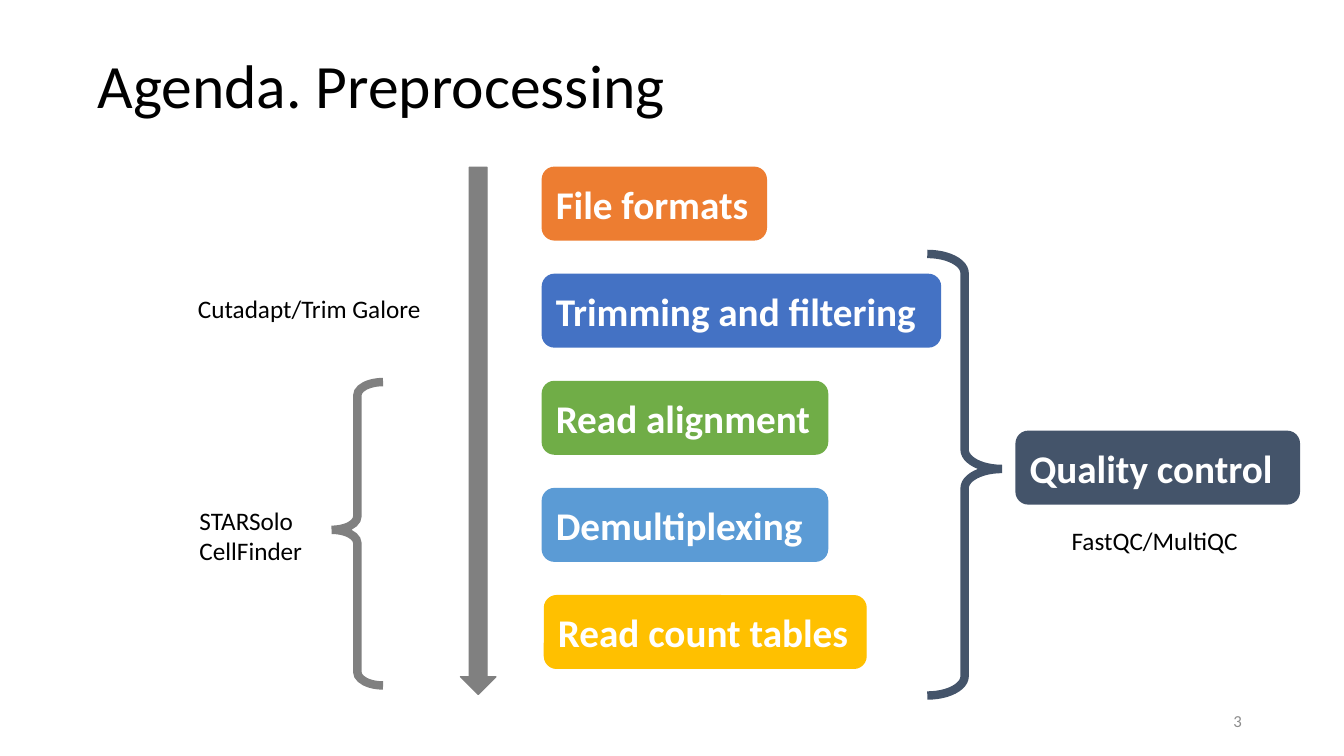
import lxml.etree
import pptx
import pptx.util
import pptx.dml.color
import pptx.enum.shapes
import pptx.enum.text
import pptx.oxml.ns

Pt = pptx.util.Pt
SHAPE = pptx.enum.shapes.MSO_SHAPE
ALIGN = pptx.enum.text.PP_ALIGN
ANCHOR = pptx.enum.text.MSO_ANCHOR

COLOURS = {
    "black": "000000", "white": "FFFFFF", "grey": "808080", "pale": "8C8C8C",
    "orange": "ED7D31", "blue": "4472C4", "green": "70AD47",
    "sky": "5B9BD5", "gold": "FFC000", "slate": "44546A",
}
CARD_HEIGHT = 51.84
STEP_PITCH = 76.5
# label, colour, width, shift to the right
STEPS = [
    ("File formats", "orange", 160, 0),
    ("Trimming and filtering", "blue", 284.4, 0),
    ("Read alignment", "green", 203.76, 0),
    ("Demultiplexing", "sky", 203.76, 0),
    ("Read count tables", "gold", 229.7, 1.5),
]


def colour(name):
    return pptx.dml.color.RGBColor.from_string(COLOURS[name])


def write(shape, lines, size, ink="black", align=ALIGN.LEFT, anchor=ANCHOR.TOP,
          wrap=True, bold=False, spacing=1.0):
    frame = shape.text_frame
    frame.word_wrap = wrap
    frame.vertical_anchor = anchor
    for index, line in enumerate(lines):
        para = frame.add_paragraph() if index else frame.paragraphs[0]
        para.alignment = align
        para.line_spacing = spacing
        span = para.add_run()
        span.text = line
        for key, value in {"name": "Calibri", "size": Pt(size), "bold": bold}.items():
            setattr(span.font, key, value)
        span.font.color.rgb = colour(ink)


def add_label(page, box, lines, size, **formats):
    write(page.shapes.add_textbox(*map(Pt, box)), lines, size, **formats)


def add_filled(page, kind, box, paint):
    shape = page.shapes.add_shape(kind, *map(Pt, box))
    shape.shadow.inherit = False
    shape.fill.solid()
    shape.fill.fore_color.rgb = colour(paint)
    shape.line.color.rgb = colour(paint)
    shape.line.width = Pt(1)
    return shape


def add_card(page, left, top, width, label, paint):
    card = add_filled(page, SHAPE.ROUNDED_RECTANGLE,
                      (left, top, width, CARD_HEIGHT), paint)
    write(card, [label], 28, ink="white", anchor=ANCHOR.MIDDLE, bold=True)


def add_brace(page, kind, box, paint):
    """Thick brace with a sharp, mitred tip."""
    brace = page.shapes.add_shape(kind, *map(Pt, box))
    brace.shadow.inherit = False
    brace.fill.background()
    brace.line.color.rgb = colour(paint)
    brace.line.width = Pt(6)
    brace.adjustments[0] = 0.259
    brace.adjustments[1] = 0.487
    outline = brace.element.spPr.find(pptx.oxml.ns.qn("a:ln"))
    lxml.etree.SubElement(outline, pptx.oxml.ns.qn("a:miter"), lim="800000")


def add_workflow(page, left, top):
    """Downward arrow with the column of step cards beside it."""
    add_filled(page, SHAPE.DOWN_ARROW, (left, top, 25.2, 376.5), "grey")
    for index, (label, paint, width, shift) in enumerate(STEPS):
        add_card(page, left + 58.4 + shift, top + index * STEP_PITCH,
                 width, label, paint)


def add_tools(page, left, top):
    """Tool names to the left of the arrow, with the brace over three steps."""
    add_label(page, (left, top, 175.7, 29), ["Cutadapt/Trim Galore"], 18,
              align=ALIGN.RIGHT, wrap=False)
    add_label(page, (left + 3.6, top + 151.2, 96, 51),
              ["STARSolo", "CellFinder"], 18, wrap=False)
    add_brace(page, SHAPE.LEFT_BRACE, (left + 105.1, top + 67, 36.7, 216.7), "grey")


def add_quality_control(page, left, top):
    add_brace(page, SHAPE.RIGHT_BRACE, (left, top, 53.3, 315.4), "slate")
    add_card(page, left + 63.4, top + 126.7, 202.3, "Quality control", "slate")
    add_label(page, (left + 92.9, top + 190.1, 139, 29), ["FastQC/MultiQC"], 18,
              align=ALIGN.CENTER, wrap=False)


def main():
    deck = pptx.Presentation()
    deck.slide_width, deck.slide_height = Pt(960), Pt(540)
    page = deck.slides.add_slide(deck.slide_layouts[6])
    add_label(page, (62.6, 10.8, 467.3, 104.4), ["Agenda. Preprocessing"], 44,
              anchor=ANCHOR.MIDDLE, spacing=0.9)
    add_workflow(page, 329, 119.5)
    add_tools(page, 131.8, 205.9)
    add_quality_control(page, 662.4, 181.4)
    add_label(page, (678.2, 500.4, 216, 28.8), ["3"], 12, ink="pale",
              align=ALIGN.RIGHT, anchor=ANCHOR.MIDDLE)
    deck.save("out.pptx")


if __name__ == "__main__":
    main()
